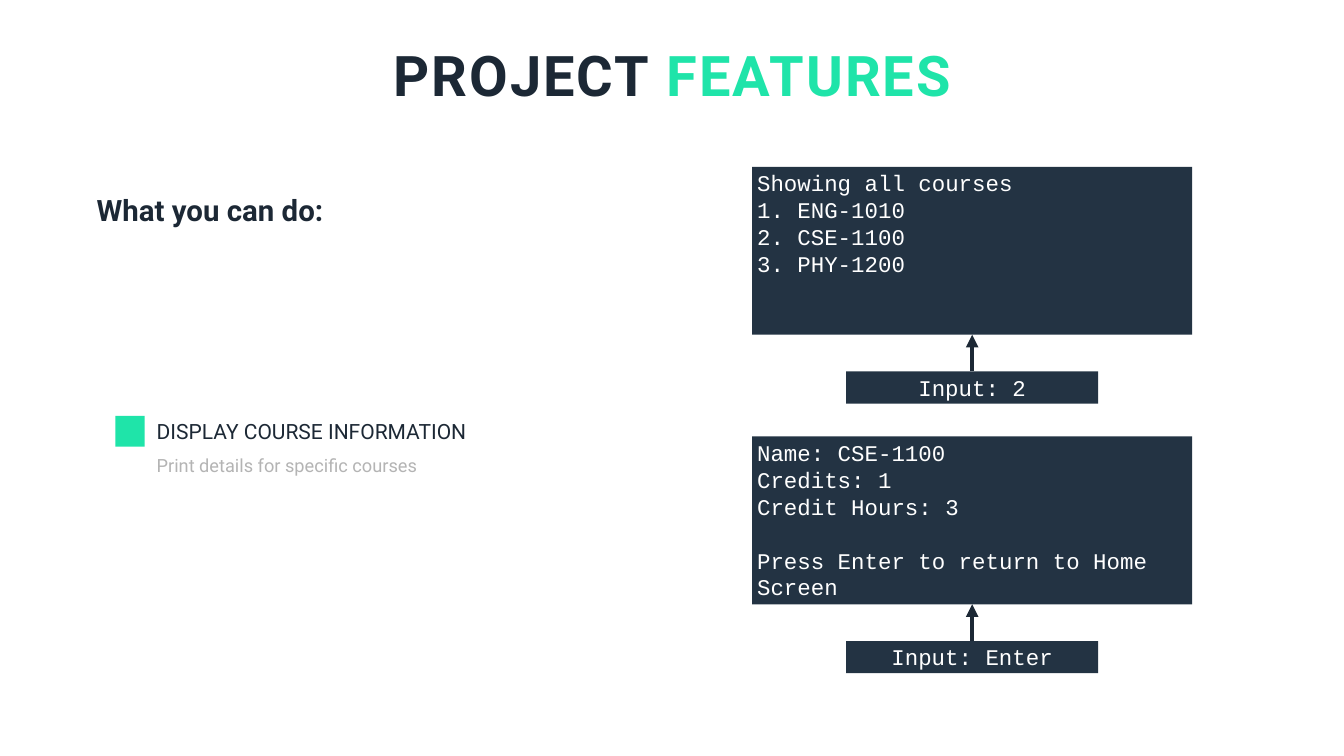
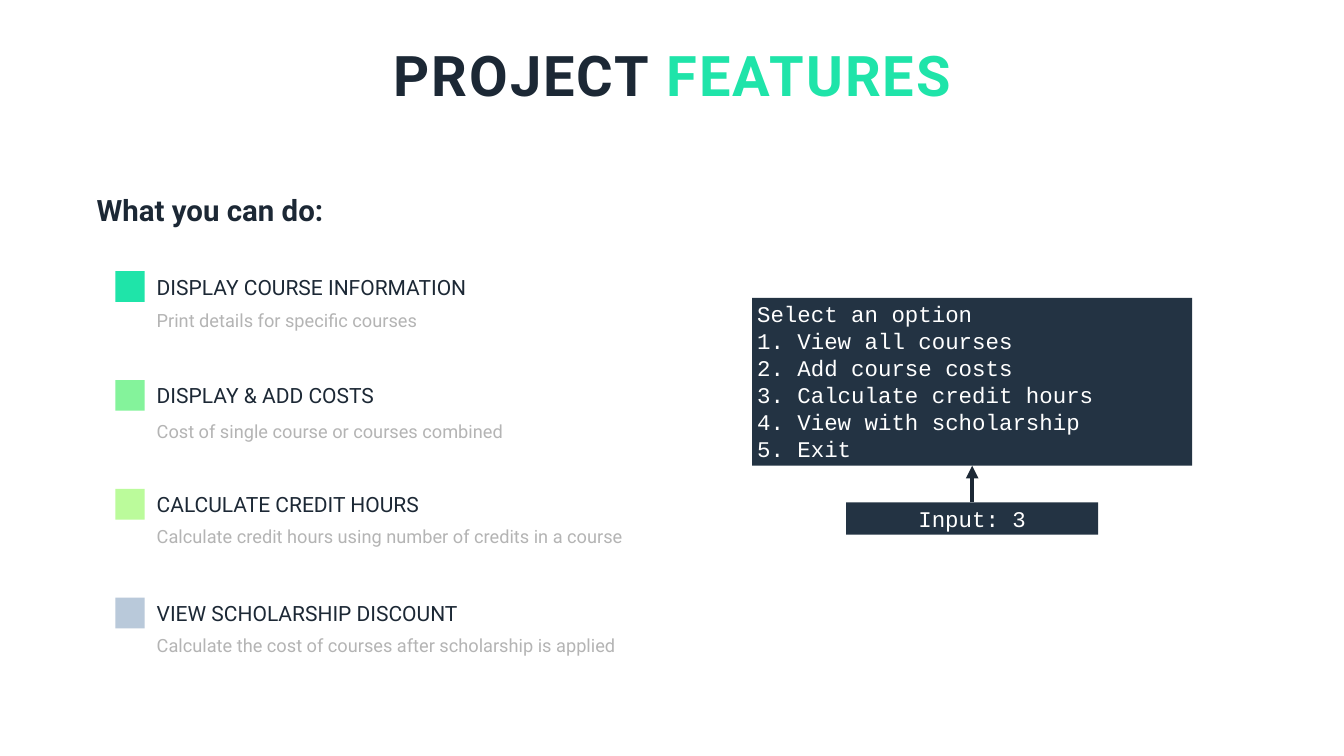
from dataclasses import dataclass
from lxml.etree import SubElement
from pptx import Presentation
from pptx.dml.color import RGBColor
from pptx.enum.shapes import MSO_CONNECTOR as Connector, MSO_SHAPE as Preset
from pptx.enum.text import MSO_ANCHOR as Anchor, MSO_AUTO_SIZE as AutoSize, PP_ALIGN as Align
from pptx.oxml.ns import qn
from pptx.util import Pt

TITLE = [("PROJECT ", "ink"), ("FEATURES", "mint")]
HEADING = "What you can do:"

COURSES = dict(label="DISPLAY COURSE INFORMATION", detail="Print details for specific courses",
               marker="mint", label_width=463.7, detail_drop=37.8)
COSTS = dict(label="DISPLAY & ADD COSTS", detail="Cost of single course or courses combined",
             marker="green", label_width=329, detail_drop=41)
CREDITS = dict(label="CALCULATE CREDIT HOURS",
               detail="Calculate credit hours using number of credits in a course",
               marker="lime", label_width=396.7, detail_drop=35.3)
SCHOLARSHIP = dict(label="VIEW SCHOLARSHIP DISCOUNT",
                   detail="Calculate the cost of courses after scholarship is applied",
                   marker="steel", label_width=448.6, detail_drop=35.3)

SLIDES = [
    dict(features=[COURSES], features_top=594, consoles_top=238.3, consoles=[
        dict(blocks=[["Showing all courses", "1. ENG-1010", "2. CSE-1100", "3. PHY-1200"]],
             entry="Input: 2"),
        dict(blocks=[["Name: CSE-1100", "Credits: 1", "Credit Hours: 3"],
                     ["Press Enter to return to Home Screen"]],
             entry="Input: Enter"),
    ]),
    dict(features=[COURSES, COSTS, CREDITS, SCHOLARSHIP], features_top=387.4,
         consoles_top=425.5, consoles=[
        dict(blocks=[["Select an option", "1. View all courses", "2. Add course costs",
                      "3. Calculate credit hours", "4. View with scholarship", "5. Exit"]],
             entry="Input: 3"),
    ]),
]


@dataclass(frozen=True)
class Theme:
    ink: str = "1C2835"
    mint: str = "1FE4A9"
    green: str = "84F39B"
    lime: str = "BBFB9B"
    steel: str = "B9C9DA"
    grey: str = "B4B4B4"
    screen: str = "233343"
    white: str = "FFFFFF"
    sans: str = "Roboto"
    mono: str = "Courier New"
    title_size: float = 80
    heading_size: float = 42
    label_size: float = 30
    detail_size: float = 26
    console_size: float = 32
    detail_leading: float = 44.4
    console_leading: float = 38.6

    def color(self, role):
        return RGBColor.from_string(getattr(self, role))


THEME = Theme()

SLIDE_WIDTH, SLIDE_HEIGHT = 1919.52, 1080
TITLE_BOX = (552.2, 57.6, 815.8, 97.2)
HEADING_BOX = (131, 270.7, 341.3, 58.3)
MARKER_LEFT, MARKER_WIDTH, MARKER_HEIGHT = 164.9, 41.8, 43.9
LABEL_LEFT, LABEL_DROP = 216.7, 0.7
DETAIL_WIDTH, DETAIL_HEIGHT = 684, 46.8
FEATURE_PITCH = 155.5
CONSOLE_LEFT, CONSOLE_WIDTH, CONSOLE_HEIGHT = 1074.2, 628.6, 239.8
CONSOLE_PITCH = 385.2
ENTRY_GAP, ENTRY_WIDTH, ENTRY_HEIGHT = 52.5, 360, 46


def points(*lengths):
    return [Pt(length) for length in lengths]


def add_run(paragraph, wording, size, role, font=THEME.sans, bold=False):
    run = paragraph.add_run()
    run.text = wording
    run.font.size = Pt(size)
    run.font.name = font
    run.font.bold = bold
    run.font.color.rgb = THEME.color(role)
    return run


def add_title(slide):
    title = slide.shapes.title
    title.left, title.top, title.width, title.height = points(*TITLE_BOX)
    frame = title.text_frame
    frame.margin_left = frame.margin_right = frame.margin_top = frame.margin_bottom = 0
    frame.vertical_anchor = Anchor.MIDDLE
    frame.word_wrap = False
    frame.auto_size = AutoSize.SHAPE_TO_FIT_TEXT
    line = frame.paragraphs[0]
    line.alignment = Align.CENTER
    for wording, role in TITLE:
        word = add_run(line, wording, THEME.title_size, role, bold=True)
        word.font._element.set("spc", "300")


def add_caption(slide, box, wording, size, role, bold=False, wrap=False, leading=None):
    frame = slide.shapes.add_textbox(*points(*box)).text_frame
    frame.word_wrap = wrap
    frame.auto_size = AutoSize.SHAPE_TO_FIT_TEXT
    line = frame.paragraphs[0]
    if leading:
        line.line_spacing = Pt(leading)
    add_run(line, wording, size, role, bold=bold)


def add_block(shapes, box, role):
    block = shapes.add_shape(Preset.RECTANGLE, *points(*box))
    block.shadow.inherit = False
    block.fill.solid()
    block.fill.fore_color.rgb = THEME.color(role)
    block.line.fill.background()
    return block


def add_feature(slide, feature, top):
    add_block(slide.shapes, (MARKER_LEFT, top, MARKER_WIDTH, MARKER_HEIGHT), feature["marker"])
    add_caption(slide, (LABEL_LEFT, top + LABEL_DROP, feature["label_width"], MARKER_HEIGHT),
                feature["label"], THEME.label_size, "ink")
    add_caption(slide, (LABEL_LEFT, top + feature["detail_drop"], DETAIL_WIDTH, DETAIL_HEIGHT),
                feature["detail"], THEME.detail_size, "grey", wrap=True,
                leading=THEME.detail_leading)


def add_screen(shapes, box, blocks, align):
    frame = add_block(shapes, box, "screen").text_frame
    frame.word_wrap = True
    frame.vertical_anchor = Anchor.TOP
    rows = [(row, block > 0 and place == 0)
            for block, lines in enumerate(blocks) for place, row in enumerate(lines)]
    for number, (row, opens_block) in enumerate(rows):
        line = frame.add_paragraph() if number else frame.paragraphs[0]
        line.alignment = align
        if opens_block:
            line.space_before = Pt(THEME.console_leading)
        add_run(line, row, THEME.console_size, "white", THEME.mono)


def add_arrow(shapes, x, start, end):
    arrow = shapes.add_connector(Connector.STRAIGHT, *points(x, start, x, end))
    arrow.line.width = Pt(6)
    arrow.line.color.rgb = THEME.color("ink")
    SubElement(arrow.line._get_or_add_ln(), qn("a:tailEnd"), type="triangle")
    SubElement(arrow._element.spPr, qn("a:effectLst"))


def add_console(slide, console, top):
    shapes = slide.shapes.add_group_shape().shapes
    center = CONSOLE_LEFT + CONSOLE_WIDTH / 2
    bottom = top + CONSOLE_HEIGHT
    entry_top = bottom + ENTRY_GAP
    add_screen(shapes, (CONSOLE_LEFT, top, CONSOLE_WIDTH, CONSOLE_HEIGHT),
               console["blocks"], Align.LEFT)
    add_screen(shapes, (center - ENTRY_WIDTH / 2, entry_top, ENTRY_WIDTH, ENTRY_HEIGHT),
               [[console["entry"]]], Align.CENTER)
    add_arrow(shapes, center, entry_top, bottom)


deck = Presentation()
deck.slide_width, deck.slide_height = points(SLIDE_WIDTH, SLIDE_HEIGHT)
title_only = deck.slide_layouts[5]

for content in SLIDES:
    slide = deck.slides.add_slide(title_only)
    add_title(slide)
    add_caption(slide, HEADING_BOX, HEADING, THEME.heading_size, "ink", bold=True)
    for order, feature in enumerate(content["features"]):
        add_feature(slide, feature, content["features_top"] + order * FEATURE_PITCH)
    for order, console in enumerate(content["consoles"]):
        add_console(slide, console, content["consoles_top"] + order * CONSOLE_PITCH)

deck.save("out.pptx")
